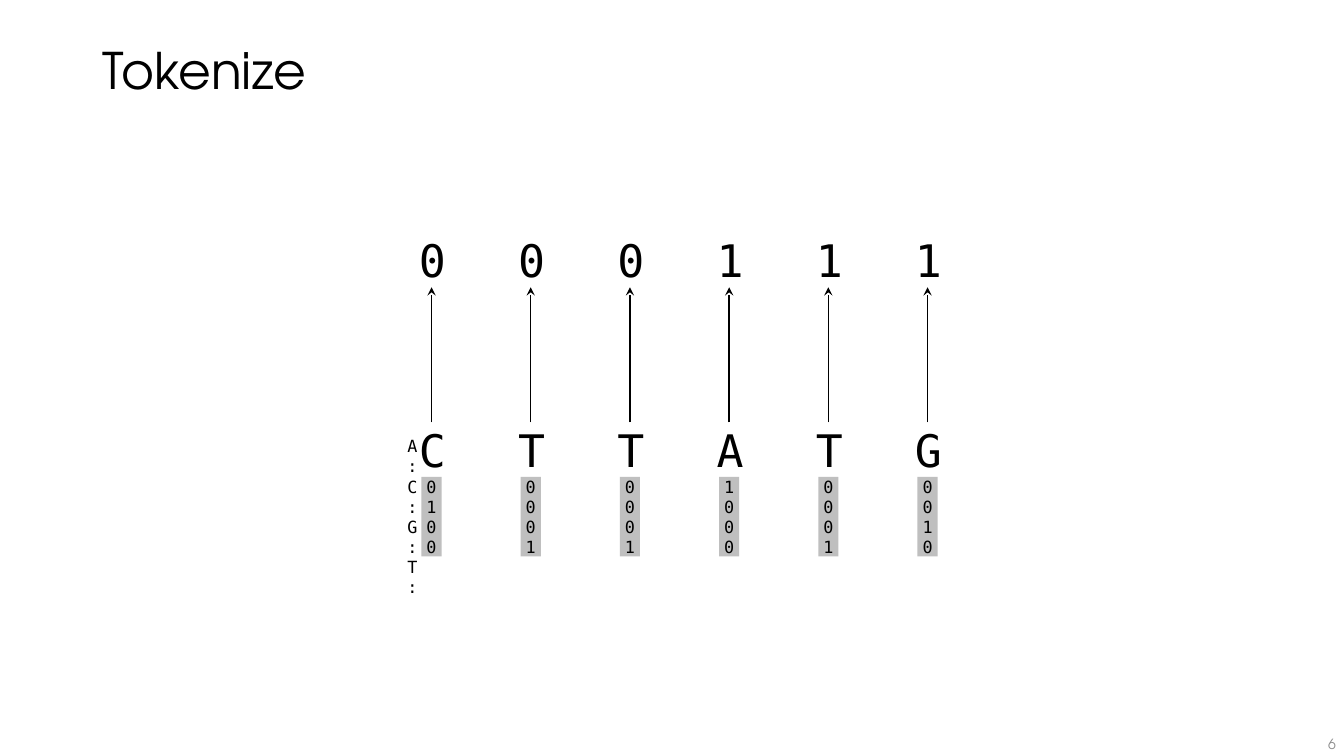
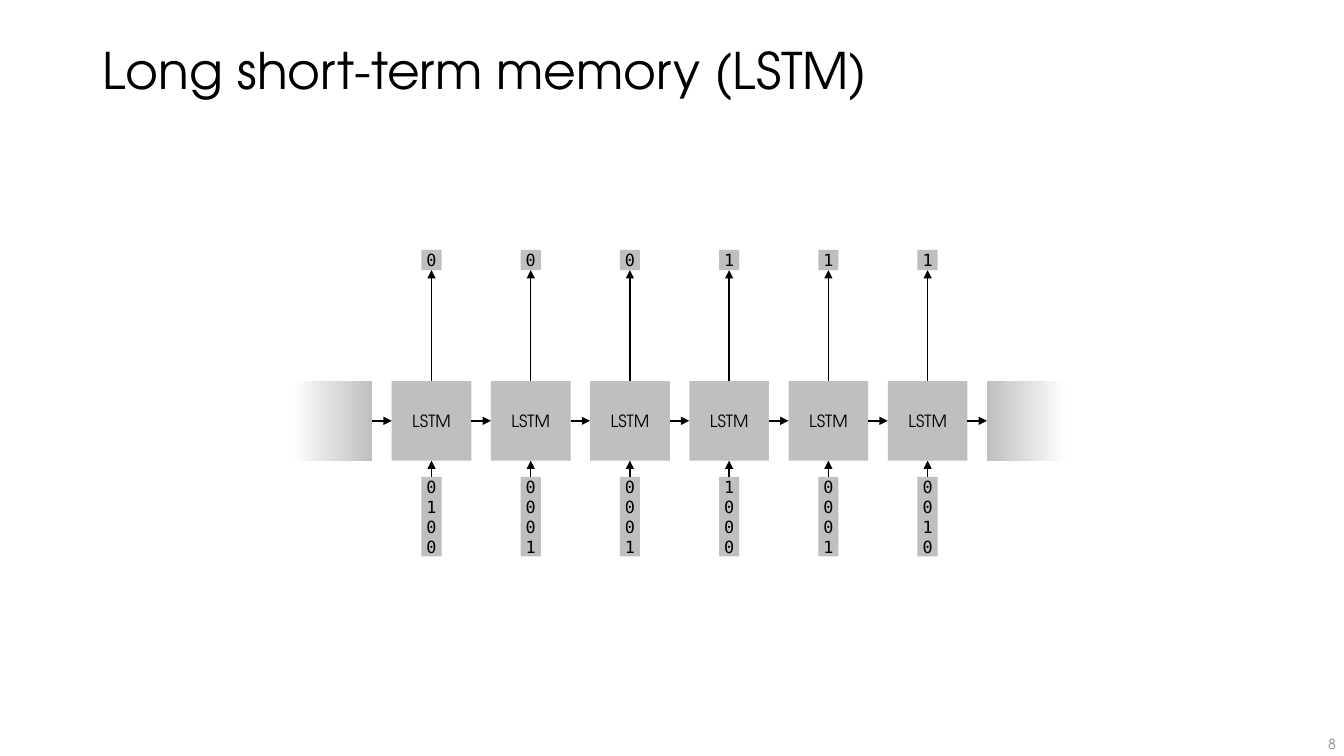
from dataclasses import dataclass
from typing import Any

from lxml.etree import SubElement
from pptx import Presentation
from pptx.dml.color import RGBColor
from pptx.enum.shapes import MSO_CONNECTOR, MSO_SHAPE
from pptx.enum.text import MSO_ANCHOR, MSO_AUTO_SIZE, PP_ALIGN
from pptx.oxml.ns import qn
from pptx.util import Inches, Pt

# Shared look
BLACK = RGBColor(0x00, 0x00, 0x00)
WHITE = RGBColor(0xFF, 0xFF, 0xFF)
GREY = RGBColor(0xBF, 0xBF, 0xBF)
NUMBER_GREY = RGBColor(0x8C, 0x8C, 0x8C)
SANS = "TeX Gyre Adventor"
MONO = "DejaVu Sans Mono"


@dataclass(frozen=True)
class TextStyle:
    size: float
    font: str
    color: RGBColor = BLACK
    align: PP_ALIGN = PP_ALIGN.CENTER
    line_spacing: float = 1.0


TITLE = TextStyle(36, SANS, align=PP_ALIGN.LEFT, line_spacing=0.9)
PAGE_NUMBER = TextStyle(10, SANS, NUMBER_GREY, PP_ALIGN.RIGHT)
CELL_NAME = TextStyle(12, SANS)
DIGITS = TextStyle(12, MONO)
LETTER = TextStyle(32, MONO)


@dataclass(frozen=True)
class Box:
    left: float
    top: float
    width: float
    height: float

    def emu(self) -> list[Any]:
        return [Inches(v) for v in (self.left, self.top, self.width, self.height)]


def margins(x: float, y: float) -> dict[str, Any]:
    return {"margin_left": Inches(x), "margin_right": Inches(x),
            "margin_top": Inches(y), "margin_bottom": Inches(y)}


FRAME = {"word_wrap": True, "vertical_anchor": MSO_ANCHOR.MIDDLE}
TIGHT = FRAME | margins(0, 0)
LETTER_FRAME = TIGHT | {"word_wrap": False,
                        "auto_size": MSO_AUTO_SIZE.SHAPE_TO_FIT_TEXT}
NUMBER_FRAME = margins(0.08, 0.04) | {"word_wrap": True,
                                      "vertical_anchor": MSO_ANCHOR.BOTTOM}


# Sequence data
@dataclass(frozen=True)
class Token:
    base: str
    label: str

    def one_hot(self) -> list[str]:
        return [str(int(base == self.base)) for base in BASES]


BASES = "ACGT"
TOKENS = [Token(base, label) for base, label in zip("CTTATG", "000111")]

# Column grid
FIRST_X = 4.28
PITCH = (9.2 - FIRST_X) / (len(TOKENS) - 1)
CODE_W = 0.2
CODE_TOP = 4.73
CELL = 0.79
CELL_TOP = 3.78
CELL_MID = CELL_TOP + CELL / 2
LETTER_W, LETTER_H = 0.25, 0.54
BASE_TOP = 4.19
LABEL_TOP = 2.31
LABEL_BOX_TOP = 2.48


def column_x(i: int) -> float:
    return FIRST_X + i * PITCH


def centred(x: float, top: float, width: float, height: float) -> Box:
    return Box(x - width / 2, top, width, height)


# Drawing functions
def set_all(target: Any, values: dict[str, Any]) -> None:
    for name, value in values.items():
        setattr(target, name, value)


def write(sp: Any, lines: list[str], style: TextStyle,
          frame: dict[str, Any]) -> None:
    tf = sp.text_frame
    set_all(tf, frame)
    for i, line in enumerate(lines):
        p = tf.add_paragraph() if i else tf.paragraphs[0]
        set_all(p, {"alignment": style.align, "line_spacing": style.line_spacing})
        r = p.add_run()
        r.text = line
        set_all(r.font, {"size": Pt(style.size), "name": style.font})
        r.font.color.rgb = style.color


def add_text(slide: Any, box: Box, lines: list[str], style: TextStyle,
             frame: dict[str, Any]) -> None:
    write(slide.shapes.add_textbox(*box.emu()), lines, style, frame)


def add_rect(slide: Any, box: Box) -> Any:
    sp = slide.shapes.add_shape(MSO_SHAPE.RECTANGLE, *box.emu())
    sp.shadow.inherit = False
    sp.line.fill.background()
    sp.fill.solid()
    sp.fill.fore_color.rgb = GREY
    return sp


def add_fade(slide: Any, box: Box, colors: tuple[RGBColor, RGBColor]) -> None:
    fill = add_rect(slide, box).fill
    fill.gradient()
    fill.gradient_angle = 0
    for stop, position, color in zip(fill.gradient_stops, (0, 1), colors):
        stop.position = position
        stop.color.rgb = color


def add_arrow(slide: Any, start: tuple[float, float], end: tuple[float, float],
              head: str = "triangle") -> None:
    points = [Inches(v) for v in (*start, *end)]
    line = slide.shapes.add_connector(MSO_CONNECTOR.STRAIGHT, *points)
    line.line.color.rgb = BLACK
    line.line.width = Pt(1)
    sp_pr = line.line._get_or_add_ln().getparent()
    SubElement(line.line._get_or_add_ln(), qn("a:tailEnd"), type=head)
    SubElement(sp_pr, qn("a:effectLst"))


def add_code(slide: Any, x: float, top: float, height: float,
             lines: list[str]) -> None:
    sp = add_rect(slide, centred(x, top, CODE_W, height))
    write(sp, lines, DIGITS, TIGHT)


def add_base_slide(prs: Any, title: str, number: int) -> Any:
    slide = prs.slides.add_slide(prs.slide_layouts[6])
    add_text(slide, Box(0.92, 0, 11.5, 1.45), [title], TITLE, FRAME)
    add_text(slide, Box(12.78, 7.1, 0.55, 0.4), [str(number)],
             PAGE_NUMBER, NUMBER_FRAME)
    for i, token in enumerate(TOKENS):
        add_code(slide, column_x(i), CODE_TOP, CELL, token.one_hot())
    return slide


# Slide: bases and their labels
def build_tokenize(prs: Any) -> None:
    slide = add_base_slide(prs, "Tokenize", 6)
    for i, token in enumerate(TOKENS):
        x = column_x(i)
        for text, top in ((token.base, BASE_TOP), (token.label, LABEL_TOP)):
            add_text(slide, centred(x, top, LETTER_W, LETTER_H), [text],
                     LETTER, LETTER_FRAME)
        add_arrow(slide, (x, BASE_TOP), (x, LABEL_TOP + LETTER_H), "stealth")
    add_text(slide, Box(3.99, CODE_TOP, CODE_W, CELL),
             [f"{base}:" for base in BASES], DIGITS, TIGHT)


# Slide: chain of LSTM cells
def build_lstm(prs: Any) -> None:
    slide = add_base_slide(prs, "Long short-term memory (LSTM)", 8)
    for i, token in enumerate(TOKENS):
        x = column_x(i)
        add_code(slide, x, LABEL_BOX_TOP, CODE_W, [token.label])
        cell = add_rect(slide, centred(x, CELL_TOP, CELL, CELL))
        write(cell, ["LSTM"], CELL_NAME, FRAME)
        add_arrow(slide, (x, CODE_TOP), (x, CELL_TOP + CELL))
        add_arrow(slide, (x, CELL_TOP), (x, LABEL_BOX_TOP + CODE_W))
    for i in range(len(TOKENS) + 1):
        add_arrow(slide, (column_x(i - 1) + CELL / 2, CELL_MID),
                  (column_x(i) - CELL / 2, CELL_MID))
    for i, colors in ((-1, (WHITE, GREY)), (len(TOKENS), (GREY, WHITE))):
        add_fade(slide, centred(column_x(i), CELL_TOP, CELL, CELL), colors)


prs = Presentation()
set_all(prs, {"slide_width": Inches(13.33), "slide_height": Inches(7.5)})
build_tokenize(prs)
build_lstm(prs)
prs.save("out.pptx")
